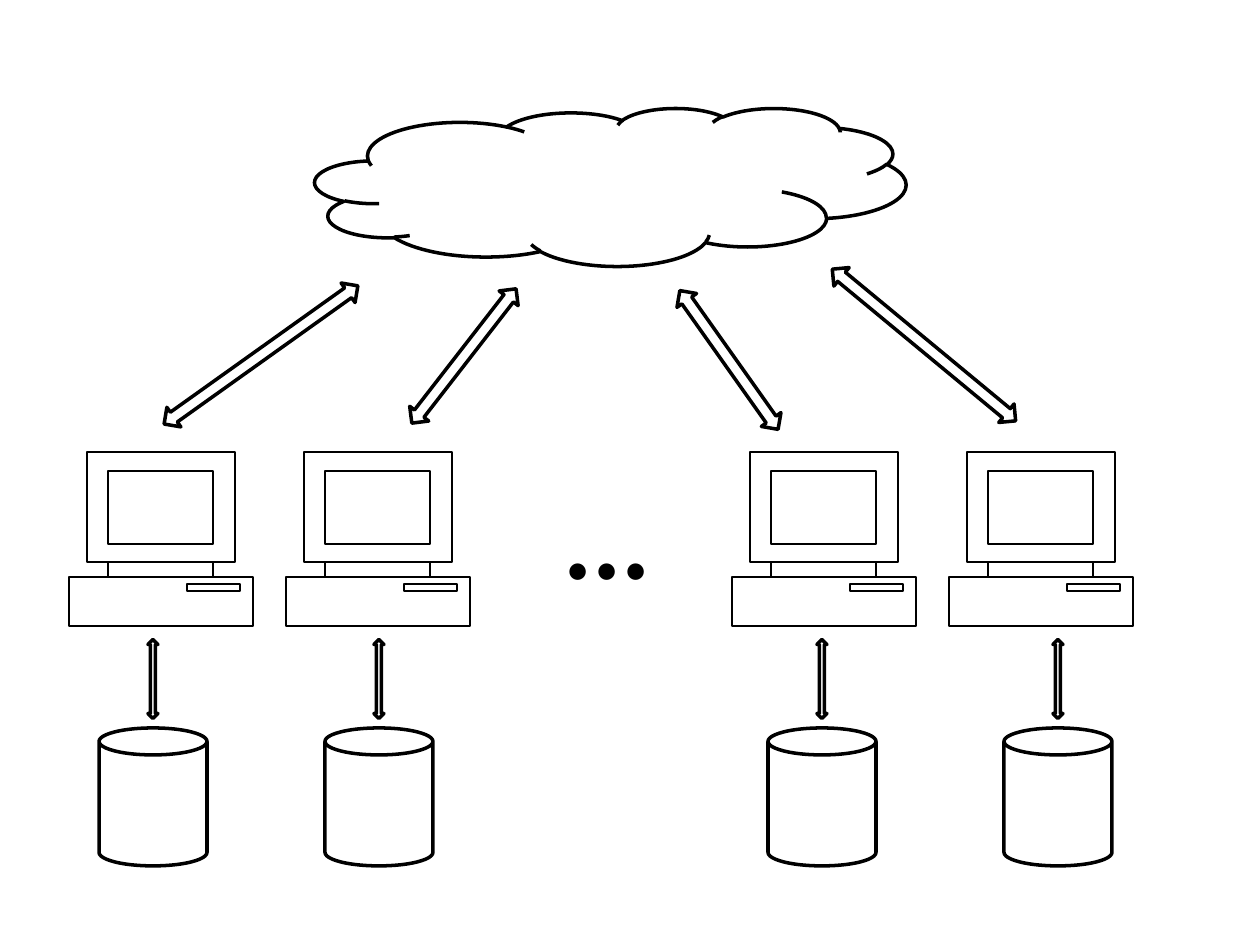
import pptx
import pptx.util
import pptx.dml.color
import pptx.enum.shapes
import pptx.enum.text

PX = pptx.util.Inches(1) // 126
BLACK = pptx.dml.color.RGBColor(0, 0, 0)
MSO = pptx.enum.shapes.MSO_SHAPE

CLOUD = (315, 108, 591, 158)
NETWORK_ARROWS = [
    (142, 343, 238, 324.5),
    (379, 344, 170, 307.8),
    (644, 348, 170, 234.7),
    (805, 333, 238, 219.6),
]
NETWORK_ARROW_H = 24
NODES = [(69, 153), (286, 379), (732, 822), (949, 1058)]
PC_TOP = 452
DISK_ARROW_Y, DISK_ARROW_W, DISK_ARROW_H = 679, 79, 10
CAN_TOP, CAN_W, CAN_H = 728, 108, 138
ELLIPSIS = ("···", (551, 483, 178, 152))


def box(left, top, right, bottom):
    return [(left, top), (right, top), (right, bottom), (left, bottom)]


CASE = [(144, 125), (144, 110), (166, 110), (166, 0), (18, 0), (18, 110),
        (39, 110), (39, 125), (0, 125), (0, 174), (184, 174), (184, 125)]
PC_CONTOURS = [CASE, box(39, 110, 144, 125), box(39, 19, 144, 92),
               box(118, 132, 171, 139)]

prs = pptx.Presentation()
prs.slide_width = pptx.util.Inches(10)
prs.slide_height = pptx.util.Inches(7.5)
s = prs.slides.add_slide(prs.slide_layouts[6])


def outline(sp, width):
    sp.shadow.inherit = False
    sp.fill.background()
    sp.line.color.rgb = BLACK
    sp.line.width = pptx.util.Pt(width)


def add_preset(kind, left, top, width, height, rotation=0):
    sp = s.shapes.add_shape(kind, *(round(v * PX) for v in (left, top, width, height)))
    sp.rotation = rotation
    outline(sp, 2)


def add_computer(left, top):
    points = [[(left + x, top + y) for x, y in c] for c in PC_CONTOURS]
    fb = s.shapes.build_freeform(*points[0][0], scale=PX)
    fb.add_line_segments(points[0][1:], close=True)
    for contour in points[1:]:
        fb.move_to(*contour[0])
        fb.add_line_segments(contour[1:], close=True)
    outline(fb.convert_to_shape(), 0.75)


def add_text(text, at, *, size, font, color):
    sp = s.shapes.add_textbox(*(v * PX for v in at))
    tf = sp.text_frame
    tf.word_wrap = True
    tf.auto_size = pptx.enum.text.MSO_AUTO_SIZE.SHAPE_TO_FIT_TEXT
    r = tf.paragraphs[0].add_run()
    r.text = text
    r.font.size = pptx.util.Pt(size)
    r.font.name = font
    r.font.color.rgb = color


add_preset(MSO.CLOUD, *CLOUD)
for left, top, width, rotation in NETWORK_ARROWS:
    add_preset(MSO.LEFT_RIGHT_ARROW, left, top, width, NETWORK_ARROW_H, rotation)
for pc_left, _ in NODES:
    add_computer(pc_left, PC_TOP)
add_text(*ELLIPSIS, size=66, font="Calibri", color=BLACK)
for _, center in NODES:
    add_preset(MSO.LEFT_RIGHT_ARROW, center - DISK_ARROW_W / 2,
               DISK_ARROW_Y - DISK_ARROW_H / 2, DISK_ARROW_W, DISK_ARROW_H, 270)
for _, center in NODES:
    add_preset(MSO.CAN, center - CAN_W / 2, CAN_TOP, CAN_W, CAN_H)

prs.save("out.pptx")
